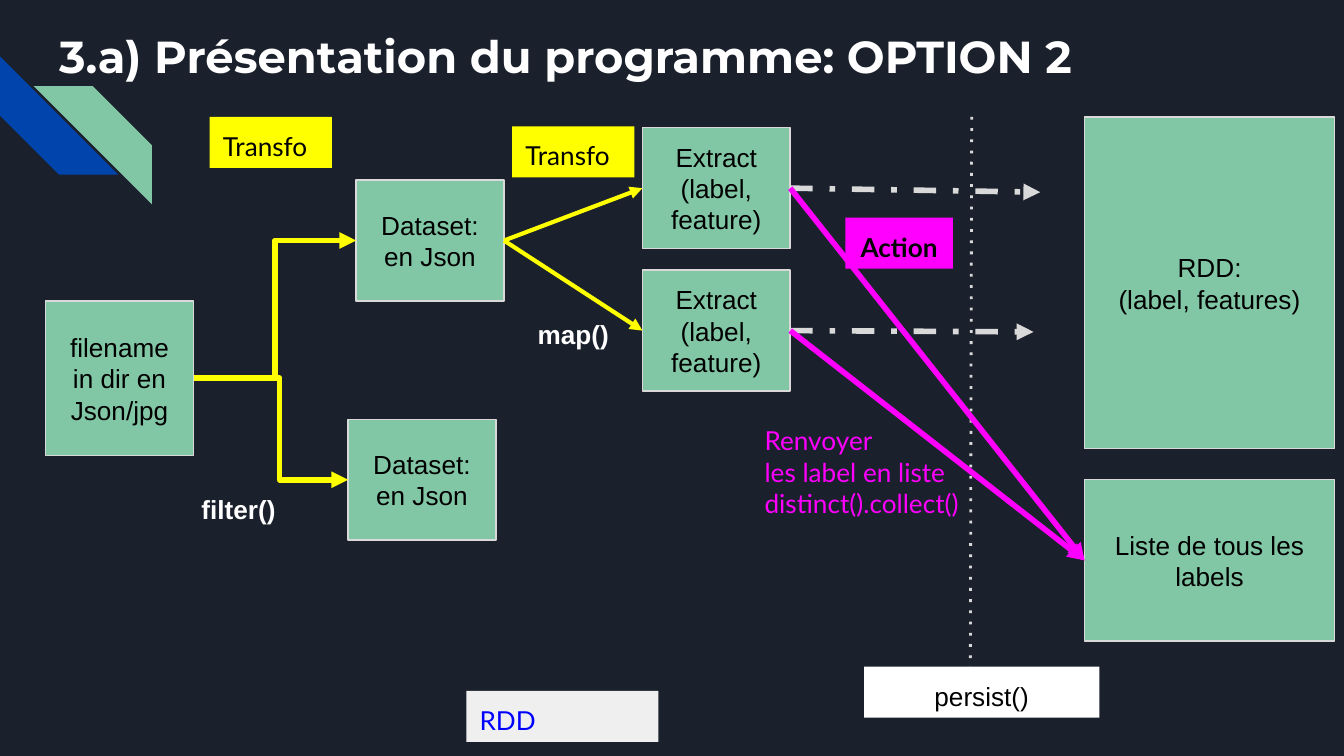
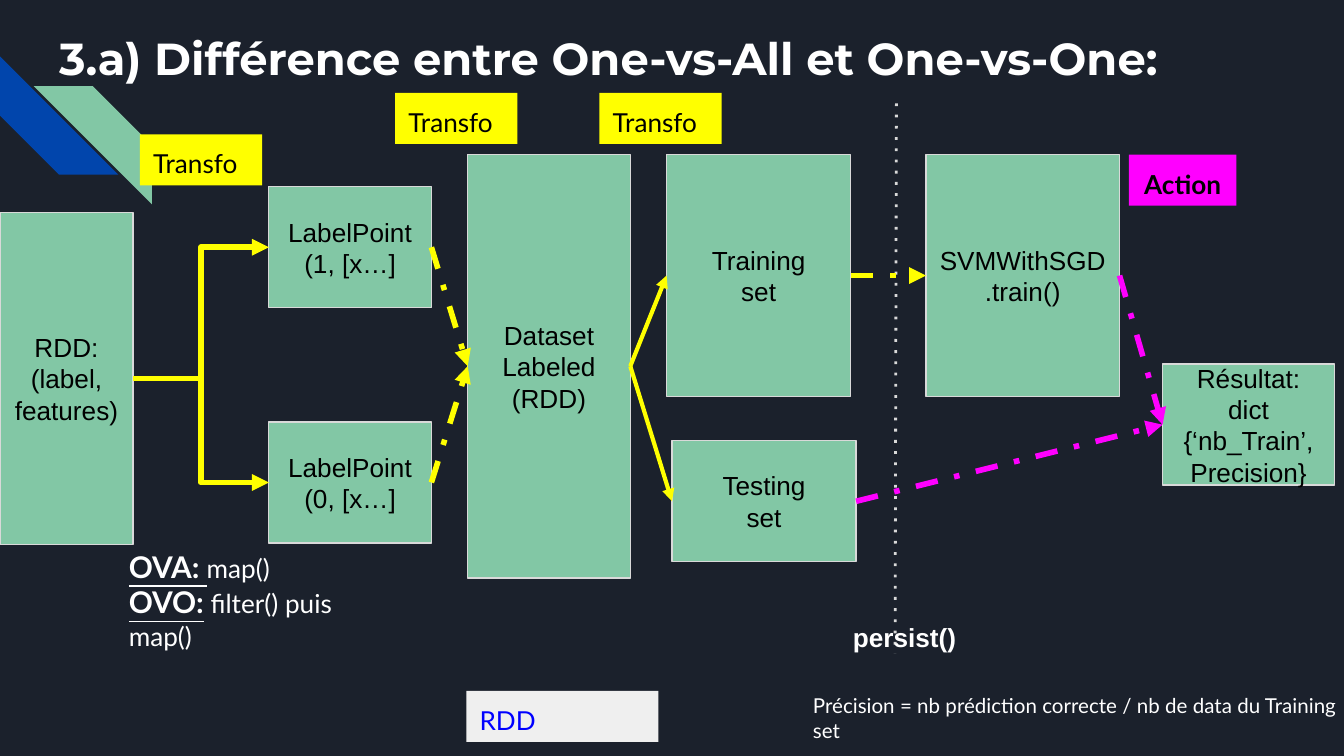
"""Build two slides that show how the data flows from files to the trained model."""
from dataclasses import dataclass
from typing import Optional, Union

from lxml.etree import SubElement
from pptx import Presentation
from pptx.dml.color import RGBColor
from pptx.enum.shapes import MSO_CONNECTOR, MSO_SHAPE
from pptx.enum.text import MSO_ANCHOR, PP_ALIGN
from pptx.oxml.ns import qn
from pptx.util import Inches, Pt


@dataclass(frozen=True)
class Theme:
    background: str = "1B212C"
    blue: str = "0145AC"
    green: str = "82C7A5"
    border: str = "D9D9D9"
    yellow: str = "FFFF00"
    magenta: str = "FF00FF"
    legend_fill: str = "EFEFEF"
    legend_text: str = "0000FF"
    white: str = "FFFFFF"
    black: str = "000000"
    title_font: str = "Montserrat"
    block_font: str = "Arial"
    label_font: str = "Lato"
    title_size: int = 24
    strong_size: int = 16
    text_size: int = 14
    note_size: int = 11
    block_border: float = 0.75
    divider_width: float = 1.5
    thin_arrow: float = 2.25
    thick_arrow: float = 3


THEME = Theme()


@dataclass(frozen=True)
class TextStyle:
    font: str = THEME.label_font
    color: str = THEME.black
    size: int = THEME.text_size
    bold: bool = False
    align: PP_ALIGN = PP_ALIGN.LEFT
    fill: Optional[str] = None


BLOCK = TextStyle(THEME.block_font, align=PP_ALIGN.CENTER, fill=THEME.green)
TITLE = TextStyle(THEME.title_font, THEME.white, THEME.title_size, bold=True)
TRANSFO = TextStyle(fill=THEME.yellow)
ACTION = TextStyle(bold=True, align=PP_ALIGN.CENTER, fill=THEME.magenta)
LEGEND = TextStyle(color=THEME.legend_text, fill=THEME.legend_fill)
PERSIST = TextStyle(THEME.block_font, align=PP_ALIGN.CENTER, fill=THEME.white)
METHOD = TextStyle(THEME.block_font, THEME.white, bold=True, align=PP_ALIGN.CENTER)
RETURN = TextStyle(color=THEME.magenta)
NOTE = TextStyle(color=THEME.white, size=THEME.note_size)
METHODS_NOTE = TextStyle(color=THEME.white)


@dataclass(frozen=True)
class Label:
    left: float
    top: float
    width: float
    height: float
    lines: tuple
    style: TextStyle


@dataclass(frozen=True)
class Block:
    name: str
    left: float
    top: float
    width: float
    height: float
    lines: tuple


@dataclass(frozen=True)
class Link:
    start: str
    end: Union[str, tuple]
    color: str = THEME.yellow
    width: float = THEME.thick_arrow
    dash: Optional[str] = None
    elbow: Optional[int] = None


@dataclass(frozen=True)
class Page:
    title: str
    title_top: float
    blocks: tuple
    links: tuple
    divider: tuple
    labels: tuple


def transfo(left: float, top: float) -> Label:
    """Describe a yellow transformation tag."""
    return Label(left, top, 0.91, 0.38, ("Transfo",), TRANSFO)


def action(left: float, top: float) -> Label:
    """Describe a magenta action tag."""
    return Label(left, top, 0.8, 0.38, ("Action",), ACTION)


def color_of(value: str) -> RGBColor:
    """Turn a hexadecimal value into a colour."""
    return RGBColor.from_string(value)


def format_paragraph(para, style: TextStyle) -> None:
    """Apply a text style to one paragraph."""
    para.alignment = style.align
    para.font.name = style.font
    para.font.size = Pt(style.size)
    para.font.bold = style.bold
    para.font.color.rgb = color_of(style.color)


def write_text(frame, lines: tuple, style: TextStyle, anchor=MSO_ANCHOR.TOP) -> None:
    """Write one paragraph a line, where a pair is an underlined heading and its text."""
    frame.word_wrap = True
    frame.vertical_anchor = anchor
    frame.margin_left = frame.margin_right = Inches(0.1)
    frame.margin_top = frame.margin_bottom = Inches(0.1)
    for index, line in enumerate(lines):
        para = frame.add_paragraph() if index else frame.paragraphs[0]
        if isinstance(line, tuple):
            heading, rest = line
            span = para.add_run()
            span.text = heading
            span.font.size = Pt(THEME.strong_size)
            span.font.bold = span.font.underline = True
            para.add_run().text = rest
        else:
            para.add_run().text = line
        format_paragraph(para, style)


def place(item: Union[Label, Block]) -> tuple:
    """Give the position and size of an item."""
    return tuple(Inches(value) for value in (item.left, item.top, item.width, item.height))


def add_filled(slide, preset: MSO_SHAPE, area: tuple, fill: str):
    """Add a flat preset shape without an outline."""
    box = slide.shapes.add_shape(preset, *area)
    box.shadow.inherit = False
    box.fill.solid()
    box.fill.fore_color.rgb = color_of(fill)
    box.line.fill.background()
    return box


def add_label(slide, label: Label) -> None:
    """Add a tag or a free text."""
    if label.style.fill:
        box = add_filled(slide, MSO_SHAPE.RECTANGLE, place(label), label.style.fill)
    else:
        box = slide.shapes.add_textbox(*place(label))
    write_text(box.text_frame, label.lines, label.style)


def add_block(slide, block: Block):
    """Add a green step of the flow."""
    box = add_filled(slide, MSO_SHAPE.RECTANGLE, place(block), BLOCK.fill)
    box.line.color.rgb = color_of(THEME.border)
    box.line.width = Pt(THEME.block_border)
    write_text(box.text_frame, block.lines, BLOCK, MSO_ANCHOR.MIDDLE)
    return box


def style_line(line, color: str, width: float, dash: Optional[str], arrow: bool) -> None:
    """Set colour, width, dash and arrowhead of a connector."""
    line.line.color.rgb = color_of(color)
    line.line.width = Pt(width)
    outline = line.element.spPr.find(qn("a:ln"))
    if dash:
        SubElement(outline, qn("a:prstDash"), val=dash)
    if arrow:
        SubElement(outline, qn("a:tailEnd"), type="triangle")
    SubElement(line.element.spPr, qn("a:effectLst"))


def add_link(slide, link: Link, boxes: dict) -> None:
    """Draw an arrow from the right side of a block to the left side of another or to a point."""
    source, target = boxes[link.start], None
    if isinstance(link.end, str):
        target = boxes[link.end]
        end = (target.left, target.top + target.height // 2)
    else:
        end = tuple(Inches(value) for value in link.end)
    kind = MSO_CONNECTOR.ELBOW if link.elbow else MSO_CONNECTOR.STRAIGHT
    start = (source.left + source.width, source.top + source.height // 2)
    arrow = slide.shapes.add_connector(kind, *start, *end)
    arrow.begin_connect(source, 3)
    if target is not None:
        arrow.end_connect(target, 1)
    if link.elbow:
        guides = arrow.element.spPr.find(qn("a:prstGeom")).get_or_add_avLst()
        SubElement(guides, qn("a:gd"), name="adj1", fmla=f"val {link.elbow}")
    style_line(arrow, link.color, link.width, link.dash, arrow=True)


def dress_layout(layout, slide) -> None:
    """Give the layout its dark background and corner stripes."""
    layout.background.fill.solid()
    layout.background.fill.fore_color.rgb = color_of(THEME.background)
    side = Inches(0.88)
    for left, top, rotation, fill in ((0, 0.42, 270, THEME.blue), (0.25, 0.64, 90, THEME.green)):
        area = (Inches(left), Inches(top), side, side)
        stripe = add_filled(slide, MSO_SHAPE.DIAGONAL_STRIPE, area, fill)
        stripe.rotation = rotation
        layout.shapes.element.append(stripe.element)


def fill_page(slide, page: Page) -> None:
    """Draw one page of the flow."""
    title = slide.shapes.title
    title.left, title.top = Inches(0.34), Inches(page.title_top)
    title.width, title.height = Inches(9.32), Inches(0.63)
    write_text(title.text_frame, (page.title,), TITLE)
    boxes = {block.name: add_block(slide, block) for block in page.blocks}
    ends = (Inches(value) for value in page.divider)
    divider = slide.shapes.add_connector(MSO_CONNECTOR.STRAIGHT, *ends)
    style_line(divider, THEME.border, THEME.divider_width, "dot", arrow=False)
    for link in page.links:
        add_link(slide, link, boxes)
    for label in page.labels + (Label(3.47, 5.14, 1.43, 0.38, ("RDD",), LEGEND),):
        add_label(slide, label)


DATASET = ("Dataset:", "en Json")
EXTRACT = ("Extract", "(label, feature)")
PAIRS = ("RDD:", "(label, features)")

PROGRAM = Page(
    "3.a) Présentation du programme: OPTION 2", 0.11,
    blocks=(
        Block("files", 0.34, 2.24, 1.1, 1.15, ("filename in dir en Json/jpg",)),
        Block("dataset", 2.65, 1.34, 1.1, 0.9, DATASET),
        Block("other dataset", 2.59, 3.12, 1.1, 0.9, DATASET),
        Block("extract", 4.78, 0.95, 1.1, 0.9, EXTRACT),
        Block("other extract", 4.78, 2.01, 1.1, 0.9, EXTRACT),
        Block("pairs", 8.07, 0.87, 1.86, 2.47, PAIRS),
        Block("labels", 8.07, 3.57, 1.86, 1.2, ("Liste de tous les labels",)),
    ),
    links=(
        Link("files", "dataset", elbow=50000),
        Link("files", "other dataset", elbow=55700),
        Link("dataset", "other extract", width=THEME.thin_arrow),
        Link("dataset", "extract", width=THEME.thin_arrow),
        Link("extract", (7.74, 1.43), THEME.border, dash="dashDot"),
        Link("other extract", (7.69, 2.47), THEME.border, dash="dashDot"),
        Link("extract", "labels", THEME.magenta),
        Link("other extract", "labels", THEME.magenta),
    ),
    divider=(7.23, 0.87, 7.22, 4.96),
    labels=(
        Label(6.43, 4.96, 1.75, 0.38, ("persist()",), PERSIST),
        transfo(1.56, 0.87), transfo(3.81, 0.94), action(6.29, 1.62),
        Label(5.59, 3.06, 2.19, 1.02,
              ("Renvoyer", "les label en liste", "distinct().collect()"), RETURN),
        Label(1.32, 3.57, 0.91, 0.38, ("filter()",), METHOD),
        Label(3.81, 2.27, 0.91, 0.38, ("map()",), METHOD),
    ),
)

COMPARISON = Page(
    "3.a) Différence entre One-vs-All et One-vs-One:", 0.13,
    blocks=(
        Block("pairs", 0, 1.58, 0.99, 2.47, PAIRS),
        Block("positive", 2, 1.39, 1.21, 0.9, ("LabelPoint", "(1, [x…]")),
        Block("negative", 2, 3.14, 1.21, 0.9, ("LabelPoint", "(0, [x…]")),
        Block("labeled", 3.48, 1.15, 1.21, 3.15, ("Dataset", "Labeled", "(RDD)")),
        Block("training", 4.96, 1.15, 1.37, 1.8, ("Training", "set")),
        Block("testing", 5, 3.28, 1.37, 0.9, ("Testing", "set")),
        Block("model", 6.89, 1.15, 1.44, 1.8, ("SVMWithSGD", ".train()")),
        Block("result", 8.65, 2.71, 1.28, 0.9,
              ("Résultat:", "dict", "{‘nb_Train’, Precision}")),
    ),
    links=(
        Link("pairs", "positive", elbow=50000),
        Link("pairs", "negative", elbow=50000),
        Link("positive", "labeled", dash="dashDot"),
        Link("negative", "labeled", dash="dashDot"),
        Link("labeled", "training", width=THEME.thin_arrow),
        Link("labeled", "testing", width=THEME.thin_arrow),
        Link("training", "model", dash="dashDot"),
        Link("model", "result", THEME.magenta, dash="dashDot"),
        Link("testing", "result", THEME.magenta, dash="dashDot"),
    ),
    divider=(6.67, 0.77, 6.66, 4.86),
    labels=(
        transfo(1.04, 1), transfo(2.94, 0.69), transfo(4.46, 0.69), action(8.4, 1.15),
        Label(6.09, 4.52, 1.28, 0.38, ("persist()",), METHOD),
        Label(0.86, 3.98, 1.75, 1.02,
              (("OVA: ", "map()"), ("OVO:", " filter() puis map()")), METHODS_NOTE),
        Label(5.95, 5.06, 4.12, 0.53,
              ("Précision = nb prédiction correcte / nb de data du Training set",), NOTE),
    ),
)


def main() -> None:
    """Build and save the deck."""
    deck = Presentation()
    deck.slide_width = Inches(10)
    deck.slide_height = Inches(10) * 9 // 16
    layout = deck.slide_layouts[5]
    slides = [deck.slides.add_slide(layout) for _ in range(2)]
    dress_layout(layout, slides[0])
    for slide, page in zip(slides, (PROGRAM, COMPARISON)):
        fill_page(slide, page)
    deck.save("out.pptx")


if __name__ == "__main__":
    main()
